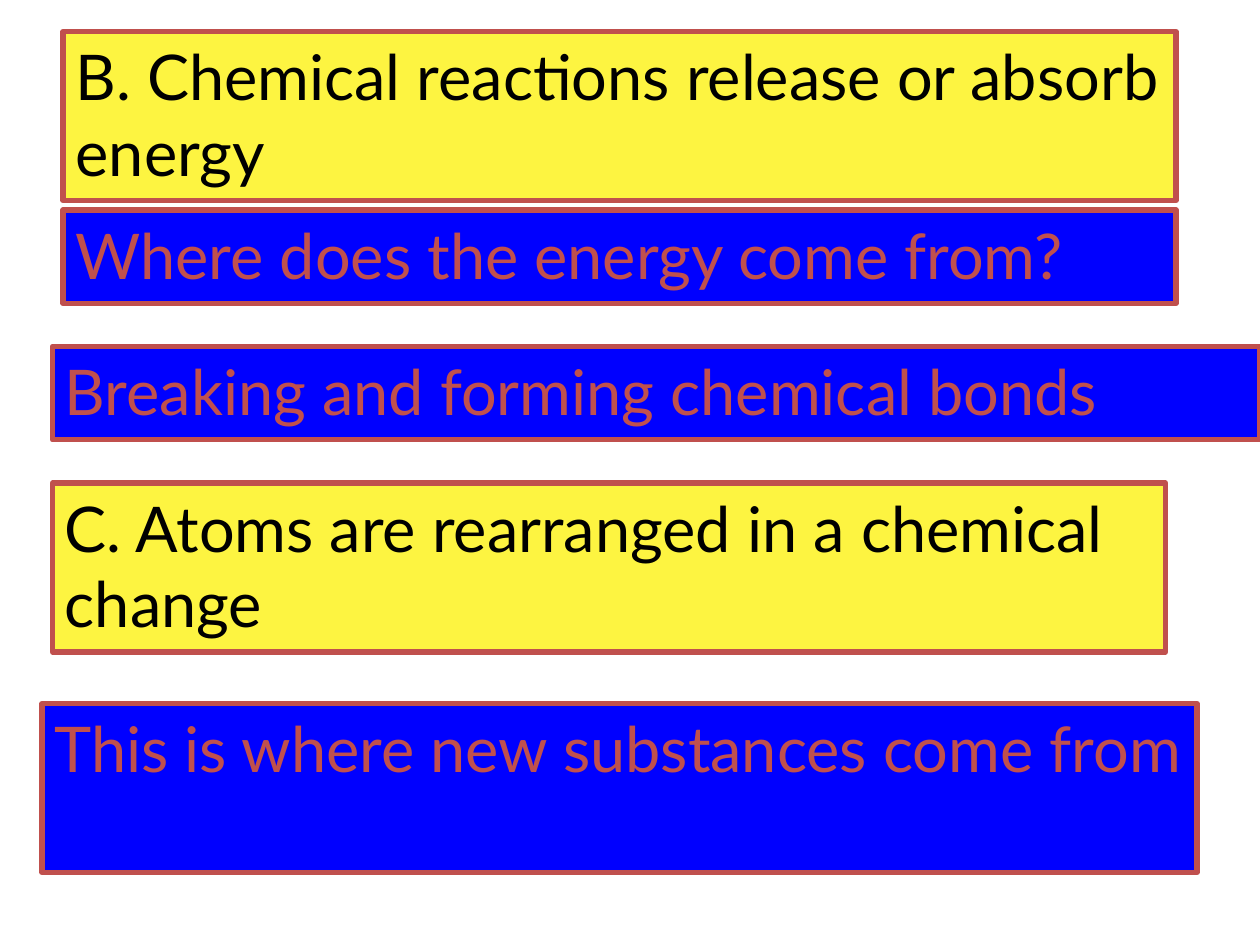
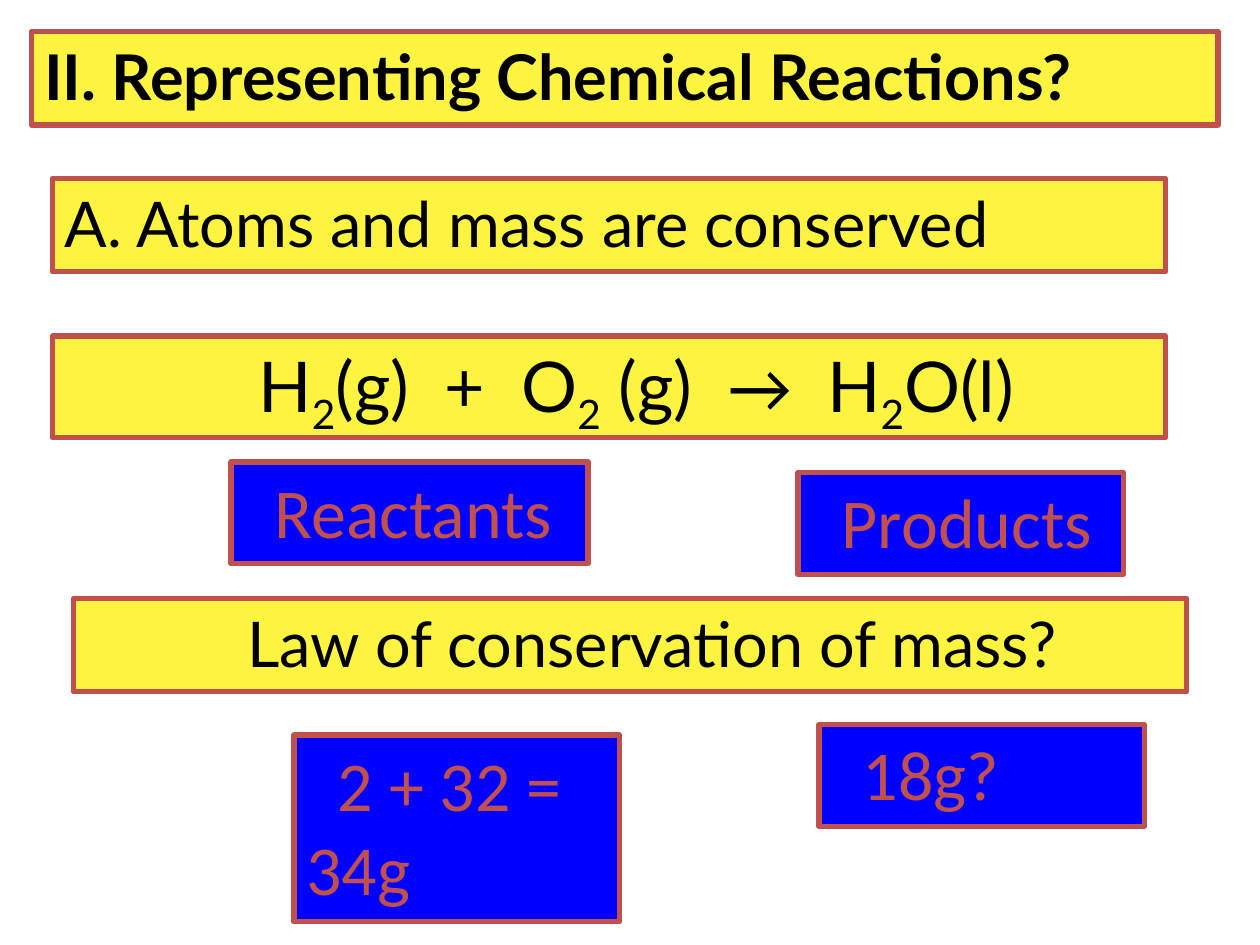
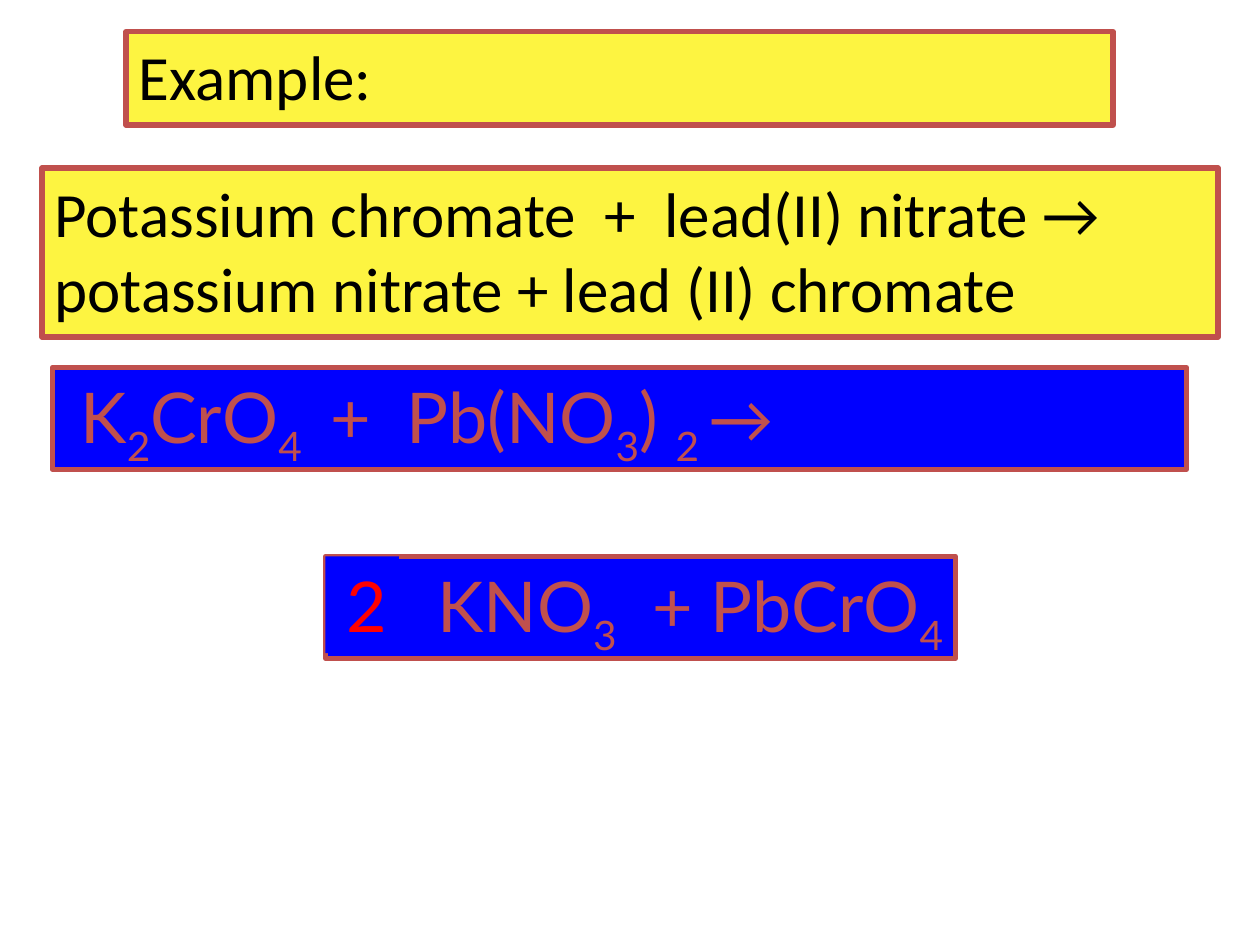
from itertools import cycle

from pptx import Presentation
from pptx.dml.color import RGBColor
from pptx.enum.shapes import MSO_SHAPE
from pptx.enum.text import MSO_ANCHOR, MSO_AUTO_SIZE, PP_ALIGN
from pptx.util import Pt

EMU_PER_PX = 7620
BLACK = RGBColor(0x00, 0x00, 0x00)
YELLOW = RGBColor(0xFD, 0xF4, 0x41)
BLUE = RGBColor(0x00, 0x00, 0xFF)
BRICK = RGBColor(0xC0, 0x50, 0x4D)
RED = RGBColor(0xFF, 0x00, 0x00)
MAIN_FONT = "Lato"
ALT_FONT = "Calibri"
ONE_LINE = 89
TWO_LINES = 161
LARGE_LINE = 97
LARGE_TWO_LINES = 178
TITLE_ONLY = 5


def px(n):
    return n * EMU_PER_PX


class Deck:
    def __init__(self):
        self.prs = Presentation()
        self.prs.slide_width = px(1200)
        self.prs.slide_height = px(900)
        self.s = None

    def new_slide(self):
        self.s = self.prs.slides.add_slide(self.prs.slide_layouts[TITLE_ONLY])

    def frame(self, sp, fill, border=True):
        sp.shadow.inherit = False
        sp.fill.solid()
        sp.fill.fore_color.rgb = fill
        if border:
            sp.line.color.rgb = BRICK
            sp.line.width = px(5)
        else:
            sp.line.fill.background()
        tf = sp.text_frame
        tf.word_wrap = True
        tf.auto_size = MSO_AUTO_SIZE.NONE
        tf.vertical_anchor = MSO_ANCHOR.TOP
        return tf

    def style(self, p, size, color, font, bold=False, align=PP_ALIGN.LEFT):
        p.alignment = align
        for r in p.runs:
            r.font.size = Pt(size)
            r.font.name = ALT_FONT if r.text == "→" else font
            r.font.color.rgb = color
            r.font.bold = bold

    def title(self, text, x, y, w, h, font=MAIN_FONT, bold=False):
        sp = self.s.shapes.title
        sp.left, sp.top, sp.width, sp.height = map(px, (x, y, w, h))
        tf = self.frame(sp, YELLOW)
        tf.text = text
        self.style(tf.paragraphs[0], 36, BLACK, font, bold)

    def box(self, x, y, w, h, fill, border=True):
        sp = self.s.shapes.add_shape(MSO_SHAPE.RECTANGLE, *map(px, (x, y, w, h)))
        return self.frame(sp, fill, border).paragraphs[0]

    def note(self, text, x, y, w, h, font=MAIN_FONT):
        p = self.box(x, y, w, h, YELLOW)
        p.text = text
        self.style(p, 36, BLACK, font)
        return p

    def answer(self, text, x, y, w, h):
        p = self.box(x, y, w, h, BLUE)
        p.text = text
        self.style(p, 36, BRICK, MAIN_FONT)

    def label(self, text, x, y, w, h=LARGE_LINE):
        p = self.box(x, y, w, h, BLUE)
        p.text = text
        self.style(p, 40, BRICK, ALT_FONT)
        self.indent(p, first=30)

    def formula(self, text, x, y, w, fill, color, align=PP_ALIGN.LEFT):
        p = self.box(x, y, w, LARGE_LINE, fill)
        for part, subscript in zip(text.split("_"), cycle((False, True))):
            before, arrow, after = part.partition("→")
            for piece in filter(None, (before, arrow, after)):
                r = p.add_run()
                r.text = piece
                if subscript:
                    r._r.get_or_add_rPr().set("baseline", "-25000")
        self.style(p, 40, color, MAIN_FONT, align=align)
        return p

    def coefficient(self, text, x, y, w, h):
        p = self.box(x, y, w, h, BLUE, border=False)
        p.text = text
        self.style(p, 40, RED, MAIN_FONT, align=PP_ALIGN.RIGHT)

    def indent(self, p, left=0, first=0):
        pPr = p._p.get_or_add_pPr()
        pPr.set("marL", str(px(left)))
        pPr.set("indent", str(px(first)))


def energy_slide(deck):
    deck.new_slide()
    deck.title("B. Chemical reactions release or absorb energy", 60, 30, 1060, TWO_LINES)
    deck.note("C. Atoms are rearranged in a chemical change", 50, 460, 1060, TWO_LINES)
    deck.answer("Where does the energy come from?", 60, 200, 1060, ONE_LINE)
    deck.answer("Breaking and forming chemical bonds", 50, 330, 1150, ONE_LINE)
    deck.answer("This is where new substances come from", 40, 670, 1100, TWO_LINES)


def conservation_slide(deck):
    deck.new_slide()
    deck.title("II. Representing Chemical Reactions?", 30, 30, 1130, ONE_LINE, bold=True)
    deck.note("A. Atoms and mass are conserved", 50, 170, 1060, ONE_LINE)
    p = deck.formula("H_2_(g)  +  O_2_ (g)  →  H_2_O(l)", 50, 320, 1060,
                     YELLOW, BLACK, PP_ALIGN.CENTER)
    deck.indent(p, left=52)
    deck.label("Reactants", 220, 440, 340)
    deck.label("Products", 760, 450, 310)
    p = deck.note("Law of conservation of mass?", 70, 570, 1060, ONE_LINE)
    p.alignment = PP_ALIGN.CENTER
    deck.indent(p, left=42)
    deck.label("2 + 32 = 34g", 280, 700, 310, LARGE_TWO_LINES)
    deck.label("18g?", 780, 690, 310)


def example_slide(deck):
    deck.new_slide()
    deck.title("Example:", 120, 30, 940, ONE_LINE, font=ALT_FONT)
    deck.note("Potassium chromate  +  lead(II) nitrate → potassium nitrate + lead (II) chromate",
              40, 160, 1120, TWO_LINES, font=ALT_FONT)
    p = deck.formula("K_2_CrO_4 _ +  Pb(NO_3_) _2 _→", 50, 350, 1080, BLUE, BRICK)
    deck.indent(p, first=15)
    deck.formula("KNO_3_  + PbCrO_4", 310, 530, 600, BLUE, BRICK, PP_ALIGN.RIGHT)
    deck.coefficient("2", 310, 530, 70, 92)


def main():
    deck = Deck()
    energy_slide(deck)
    conservation_slide(deck)
    example_slide(deck)
    deck.prs.save("out.pptx")


if __name__ == "__main__":
    main()
